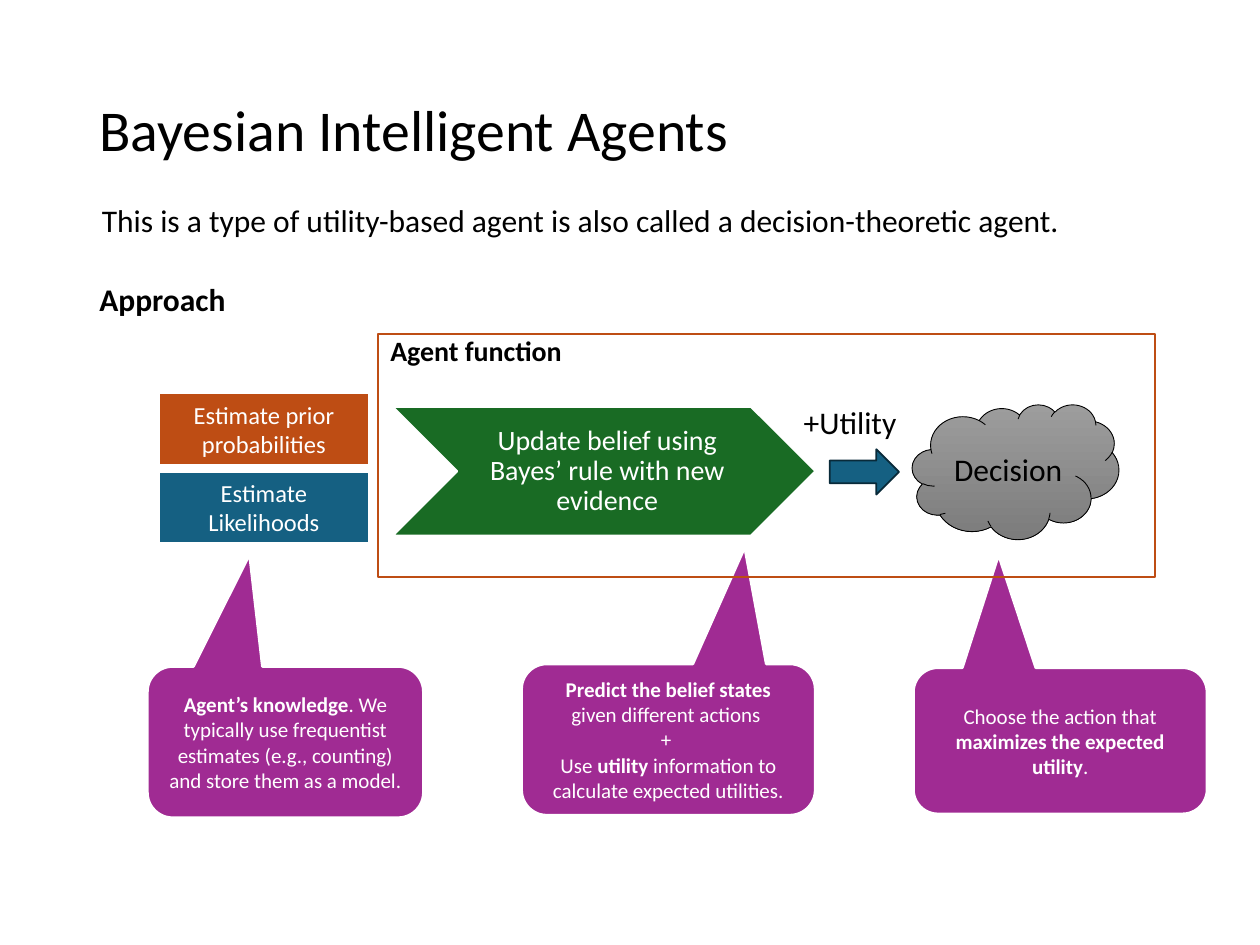
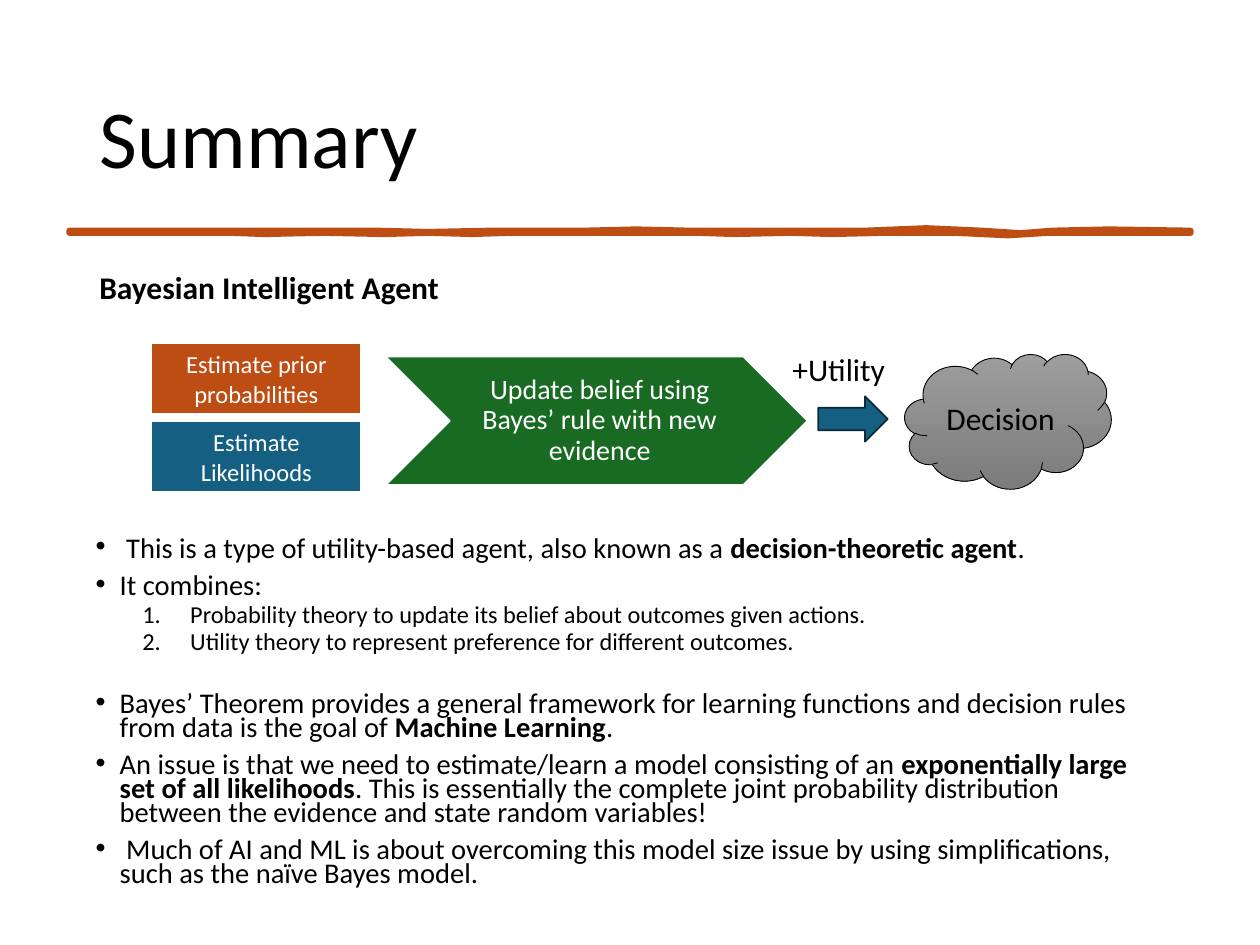
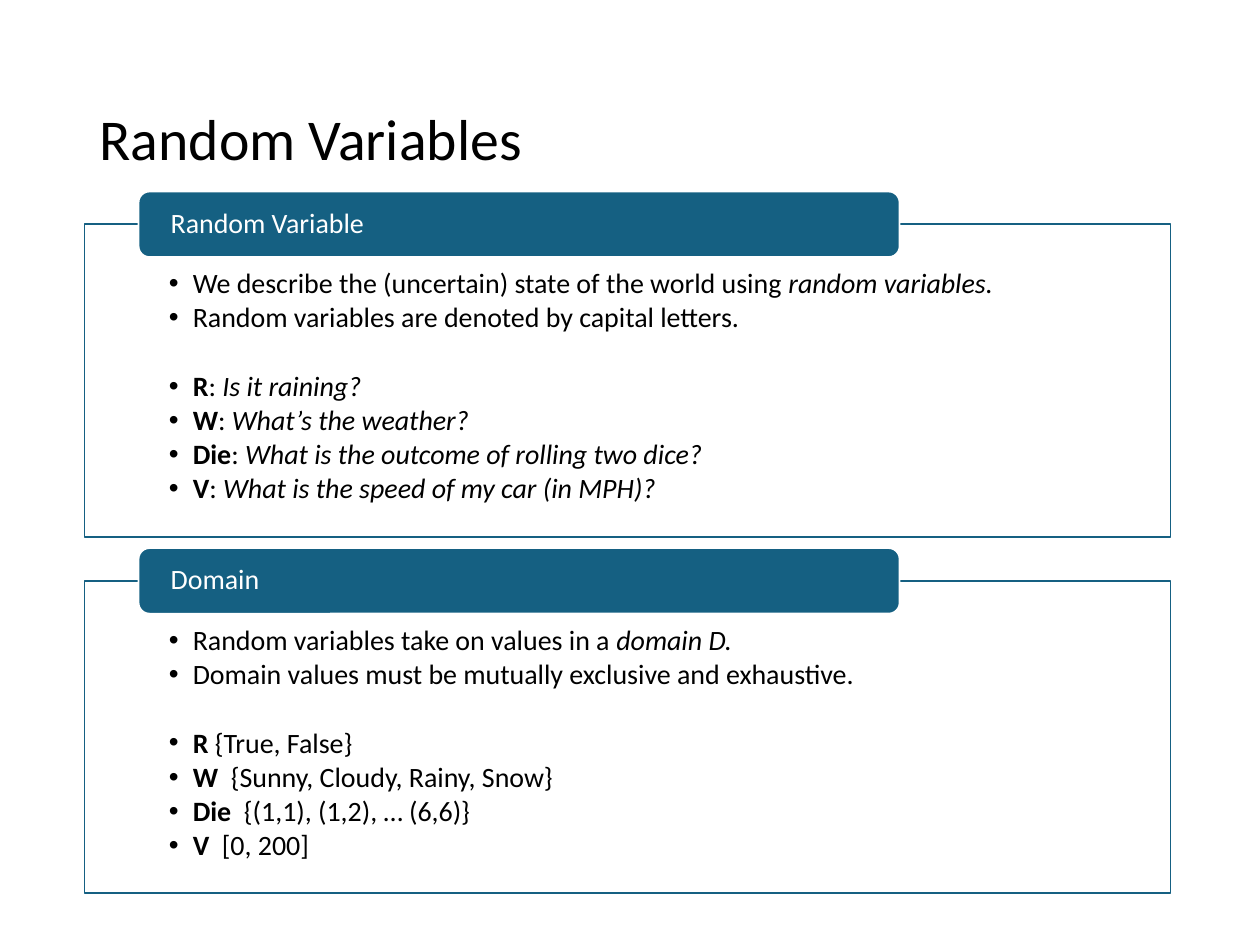
from dataclasses import dataclass
from typing import NamedTuple, Optional

from lxml import etree
from pptx import Presentation
from pptx import util as u
from pptx.dml.color import RGBColor
from pptx.enum import shapes, text
from pptx.oxml.ns import qn

# Shared look
FONT = "Calibri"
BLACK, WHITE = "000000", "FFFFFF"
ORANGE, BLUE, GREEN, PURPLE, NAVY = "BE4D14", "156082", "196B24", "A02B93", "092A39"
CLOUD_TOP, CLOUD_BOTTOM = "9D9D9D", "7C7C7C"
TITLE_ONLY, TITLE_AND_BODY = 5, 1
SHAPE = shapes.MSO_SHAPE
LEFT, CENTER = text.PP_ALIGN.LEFT, text.PP_ALIGN.CENTER
TOP, MIDDLE = text.MSO_ANCHOR.TOP, text.MSO_ANCHOR.MIDDLE
PLAIN_INSETS = (0.1, 0.05, 0.1, 0.05)


class Span(NamedTuple):
    words: str
    bold: bool = False
    italic: bool = False


class Area(NamedTuple):
    left: float
    top: float
    width: float
    height: float

    def moved(self, across: float, down: float) -> "Area":
        return Area(self.left + across, self.top + down, self.width, self.height)

    def lengths(self) -> list:
        return [u.Inches(value) for value in self]


@dataclass
class Style:
    size: float
    color: str = BLACK
    align: int = LEFT
    anchor: int = TOP
    spacing: float = 1.0
    insets: tuple = PLAIN_INSETS


@dataclass
class Block:
    kind: int
    area: Area
    fill: Optional[str]
    line: str
    line_width: float
    spans: tuple = ()
    style: Optional[Style] = None


@dataclass
class Item:
    spans: tuple
    before: float = 0
    numbered: bool = False


class Callout(NamedTuple):
    area: Area
    tip: tuple
    spans: tuple


class Panel(NamedTuple):
    top: float
    heading: str
    items: tuple


def bold(words: str) -> Span:
    return Span(words, bold=True)


def italic(words: str) -> Span:
    return Span(words, italic=True)


def rgb(code: str) -> RGBColor:
    return RGBColor.from_string(code)


# Text
def add_spans(para, spans: tuple, size: float, color: str) -> None:
    for span in spans:
        for number, line in enumerate(span.words.split("\n")):
            if number:
                para.add_line_break()
            run = para.add_run()
            run.text = line
            run.font.name = FONT
            run.font.size = u.Pt(size)
            run.font.bold = span.bold
            run.font.italic = span.italic
            run.font.color.rgb = rgb(color)


def set_frame(box, style: Style) -> None:
    frame = box.text_frame
    frame.word_wrap = True
    frame.auto_size = text.MSO_AUTO_SIZE.NONE
    frame.vertical_anchor = style.anchor
    (frame.margin_left, frame.margin_top,
     frame.margin_right, frame.margin_bottom) = [u.Inches(inset) for inset in style.insets]


def write(box, spans: tuple, style: Style) -> None:
    set_frame(box, style)
    para = box.text_frame.paragraphs[0]
    para.alignment = style.align
    para.line_spacing = style.spacing
    add_spans(para, spans, style.size, style.color)


def set_bullet(para, margin: float, hanging: float, numbered: bool) -> None:
    props = para._p.get_or_add_pPr()
    props.set("marL", str(u.Inches(margin)))
    props.set("indent", str(-u.Inches(hanging)))
    if numbered:
        etree.SubElement(props, qn("a:buAutoNum"), type="arabicPeriod")
    else:
        etree.SubElement(props, qn("a:buFont"), typeface="Arial")
        etree.SubElement(props, qn("a:buChar"), char="•")


def write_list(box, items: tuple, style: Style, after: float = 0) -> None:
    set_frame(box, style)
    frame = box.text_frame
    for number, item in enumerate(items):
        para = frame.add_paragraph() if number else frame.paragraphs[0]
        para.alignment = style.align
        para.line_spacing = style.spacing
        para.space_before = u.Pt(item.before)
        para.space_after = u.Pt(after)
        if item.numbered:
            para.level = 1
            set_bullet(para, 0.75, 0.38, True)
            add_spans(para, item.spans, 13.9, style.color)
        else:
            set_bullet(para, 0.19, 0.19, False)
            add_spans(para, item.spans, style.size, style.color)


# Shapes
def place(box, area: Area) -> None:
    box.left, box.top, box.width, box.height = area.lengths()


def paint(box, fill: Optional[str], line: str, line_width: float) -> None:
    box.shadow.inherit = False
    if fill:
        box.fill.solid()
        box.fill.fore_color.rgb = rgb(fill)
    else:
        box.fill.background()
    box.line.color.rgb = rgb(line)
    box.line.width = u.Pt(line_width)


def add_block(page, block: Block):
    box = page.shapes.add_shape(block.kind, *block.area.lengths())
    paint(box, block.fill, block.line, block.line_width)
    if block.style:
        write(box, block.spans, block.style)
    return box


def add_label(page, area: Area, words: Span) -> None:
    write(page.shapes.add_textbox(*area.lengths()), (words,), Style(18))


def add_page(deck, layout: int, title: str, top: float = 0.4, size: float = 33):
    page = deck.slides.add_slide(deck.slide_layouts[layout])
    place(page.shapes.title, Area(0.69, top, 8.62, 1.45))
    write(page.shapes.title, (Span(title),), Style(size, anchor=MIDDLE, spacing=0.9))
    return page


# Agent diagram, used on two slides
ESTIMATE = Style(14, WHITE, CENTER, MIDDLE)
UPDATE = Style(16, WHITE, CENTER, MIDDLE, 0.9, (0.07, 0.02, 0.02, 0.02))
DECISION = Style(18, BLACK, CENTER, MIDDLE)


def add_agent(page, left: float, top: float, nudge: tuple = (0, 0)) -> None:
    estimates = (("Estimate prior probabilities", ORANGE), ("Estimate Likelihoods", BLUE))
    for row, (words, color) in enumerate(estimates):
        area = Area(left, top + row * 0.62, 1.67, 0.57)
        add_block(page, Block(SHAPE.RECTANGLE, area, color, WHITE, 1.5, (Span(words),), ESTIMATE))

    update = Span("Update belief using Bayes’ rule with new evidence")
    add_block(page, Block(SHAPE.CHEVRON, Area(left + 1.86, top + 0.11, 3.35, 1.02),
                          GREEN, WHITE, 1, (update,), UPDATE))

    cloud = add_block(page, Block(SHAPE.CLOUD, Area(left + 5.98, top + 0.09, 1.64, 1.07),
                                  CLOUD_TOP, BLACK, 0.5, (Span("Decision"),), DECISION))
    cloud.fill.gradient()
    cloud.fill.gradient_angle = 270
    for stop, color in zip(cloud.fill.gradient_stops, (CLOUD_TOP, CLOUD_BOTTOM)):
        stop.color.rgb = rgb(color)

    arrow_area = Area(left + 5.42, top + 0.35, 0.36, 0.55).moved(*nudge)
    arrow = add_block(page, Block(SHAPE.DOWN_ARROW, arrow_area, BLUE, NAVY, 1))
    arrow.rotation = 270
    add_label(page, Area(left + 5.02, top + 0.03, 0.98, 0.4).moved(*nudge), Span("+Utility"))


# Slide 1: agents
CALLOUTS = (
    Callout(Area(1.17, 5.29, 2.19, 1.2), (-0.13, -1.24), (
        bold("Agent’s knowledge"),
        Span(". We typically use frequentist estimates (e.g., counting) and store them as a model."))),
    Callout(Area(4.14, 5.27, 2.33, 1.2), (0.26, -1.27), (
        bold("Predict the belief states "),
        Span("given different actions \n+ \nUse "),
        bold("utility"),
        Span(" information to calculate expected utilities."))),
    Callout(Area(7.25, 5.3, 2.33, 1.16), (-0.21, -1.27), (
        Span("Choose the action that "),
        bold("maximizes the expected utility"),
        Span("."))),
)


def build_agents(deck) -> None:
    page = add_page(deck, TITLE_ONLY, "Bayesian Intelligent Agents", top=0.33)
    add_agent(page, 1.26, 3.12)
    add_label(page, Area(0.69, 2.17, 5, 0.4), bold("Approach"))
    for callout in CALLOUTS:
        box = add_block(page, Block(SHAPE.ROUNDED_RECTANGULAR_CALLOUT, callout.area, PURPLE, WHITE,
                                    1.5, callout.spans, Style(12, WHITE, CENTER, MIDDLE)))
        box.adjustments[0], box.adjustments[1] = callout.tip
    add_block(page, Block(SHAPE.RECTANGLE, Area(3, 2.65, 6.17, 1.93), None, ORANGE, 1,
                          (bold("Agent function"),), Style(16, insets=(0.1, 0, 0.1, 0))))
    add_label(page, Area(0.71, 1.55, 8.17, 0.4), Span(
        "This is a type of utility-based agent is also called a decision-theoretic agent."))


# Slide 2: summary
BRUSH_TOP = ((0.55, 1.83), (1.85, 1.83), (2.98, 1.83), (3.4, 1.84), (3.9, 1.83), (4.64, 1.83),
             (5.05, 1.82), (5.47, 1.83), (6.31, 1.83), (6.87, 1.83), (7.35, 1.81), (7.79, 1.83),
             (8.1, 1.85), (8.35, 1.83), (8.8, 1.82), (9.45, 1.83))
BRUSH_BOTTOM = ((9.45, 1.85), (8.8, 1.85), (8.32, 1.85), (8, 1.87), (7.58, 1.85), (7.02, 1.85),
                (6.6, 1.86), (6.28, 1.85), (5.83, 1.86), (5.53, 1.85), (4.79, 1.85), (4.05, 1.85),
                (3.75, 1.86), (3.4, 1.85), (3.05, 1.86), (2.57, 1.85), (2.1, 1.86), (1.82, 1.85),
                (0.55, 1.85))
POINT_GAP = 7.5
SUMMARY = (
    Item((Span(" This is a type of utility-based agent, also known as a "),
          bold("decision-theoretic agent"), Span(".")), POINT_GAP),
    Item((Span("It combines:"),), POINT_GAP),
    Item((Span("Probability theory to update its belief about outcomes given actions."),), 3.8, True),
    Item((Span("Utility theory to represent preference for different outcomes."),), 3.8, True),
    Item((Span("Bayes’ Theorem provides a general framework for learning functions and "
               "decision rules from data is the goal of "),
          bold("Machine Learning"), Span(".")), POINT_GAP + 15.5),
    Item((Span("An issue is that we need to estimate/learn a model consisting of an "),
          bold("exponentially large set of all likelihoods"),
          Span(". This is essentially the complete joint probability distribution "
               "between the evidence and state random variables!")), POINT_GAP),
    Item((Span(" Much of AI and ML is about overcoming this model size issue by using "
               "simplifications, such as the naïve Bayes model."),), POINT_GAP),
)


def add_brush_line(page) -> None:
    start, *others = [(u.Inches(x), u.Inches(y)) for x, y in BRUSH_TOP + BRUSH_BOTTOM]
    builder = page.shapes.build_freeform(*start)
    builder.add_line_segments(others, close=True)
    paint(builder.convert_to_shape(), ORANGE, ORANGE, 3.25)


def build_summary(deck) -> None:
    page = add_page(deck, TITLE_AND_BODY, "Summary", size=47)
    add_brush_line(page)
    body = page.placeholders[1]
    place(body, Area(0.66, 4.23, 8.62, 2.93))
    write_list(body, SUMMARY, Style(16.3, spacing=0.7))
    add_agent(page, 1.2, 2.72, nudge=(-0.03, -0.02))
    add_label(page, Area(0.69, 2.08, 5, 0.4), bold("Bayesian Intelligent Agent"))


# Slide 3: random variables
GROUP_GAP = 19.8
PANELS = (
    Panel(1.78, "Random Variable", (
        Item((Span("We describe the (uncertain) state of the world using "),
              italic("random variables."))),
        Item((Span("Random variables are denoted by capital letters."),)),
        Item((bold("R"), Span(": "), italic("Is it raining?")), GROUP_GAP),
        Item((bold("W"), Span(":"), italic(" What’s the weather?"))),
        Item((bold("Die"), Span(": "), italic("What is the outcome of rolling two dice?"))),
        Item((bold("V"), Span(": "), italic("What is the speed of my car (in MPH)?"))))),
    Panel(4.61, "Domain", (
        Item((Span("Random variables take on values in a "), italic("domain D."))),
        Item((Span("Domain values must be mutually exclusive and exhaustive."),)),
        Item((bold("R "), Span("{True, False}")), GROUP_GAP),
        Item((bold("W "), Span(" {Sunny, Cloudy, Rainy, Snow}"))),
        Item((bold("Die "), Span(" {(1,1), (1,2), … (6,6)}"))),
        Item((bold("V "), Span(" [0, 200]"))))),
)


def add_panel(page, panel: Panel) -> None:
    frame = add_block(page, Block(SHAPE.RECTANGLE, Area(0.67, panel.top, 8.62, 2.48),
                                  WHITE, BLUE, 1))
    color = frame._element.spPr.find(qn("a:solidFill"))[0]
    etree.SubElement(color, qn("a:alpha"), val="90000")
    write_list(frame, panel.items, Style(16, spacing=0.9, insets=(0.67, 0.36, 0.67, 0.12)), 2.2)
    add_block(page, Block(SHAPE.ROUNDED_RECTANGLE, Area(1.1, panel.top - 0.26, 6.04, 0.52),
                          BLUE, WHITE, 1, (Span(panel.heading),),
                          Style(16, WHITE, LEFT, MIDDLE, 0.9, (0.23, 0, 0.23, 0))))


def build_variables(deck) -> None:
    page = add_page(deck, TITLE_ONLY, "Random Variables")
    for panel in PANELS:
        add_panel(page, panel)


def main() -> None:
    deck = Presentation()
    deck.slide_width, deck.slide_height = u.Inches(10), u.Inches(7.5)
    build_agents(deck)
    build_summary(deck)
    build_variables(deck)
    deck.save("out.pptx")


if __name__ == "__main__":
    main()
